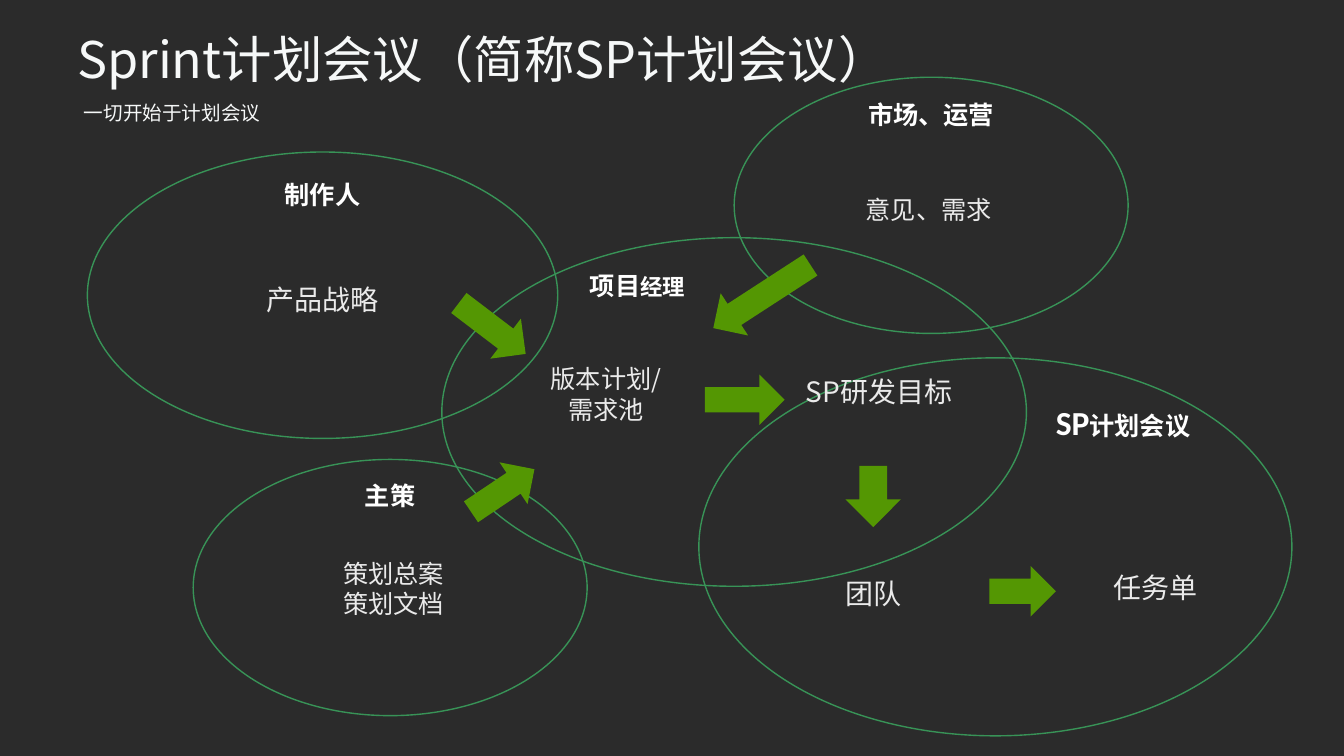
import dataclasses

import pptx
import pptx.dml.color
import pptx.enum.shapes
import pptx.enum.text
import pptx.oxml.ns
import pptx.util
from lxml import etree

SHAPE = pptx.enum.shapes.MSO_SHAPE
ANCHOR = pptx.enum.text.MSO_ANCHOR
ALIGN = pptx.enum.text.PP_ALIGN
COLUMNS, ROWS = 160, 90
CELL = pptx.util.Inches(7.5) / ROWS


@dataclasses.dataclass
class Theme:
    background: str = "2B2B2B"
    outline: str = "389357"
    arrow: str = "549703"
    title: str = "F6F8F8"
    heading: str = "FFFFFF"
    note: str = "EAEAEA"
    face: str = "Noto Sans CJK SC"
    heading_face: str = "Calibri"
    title_size: int = 36
    subtitle_size: int = 14
    heading_size: int = 18
    note_size: int = 20
    small_note_size: int = 18


@dataclasses.dataclass
class Box:
    left: float
    top: float
    width: float
    height: float

    def inner(self, left, top, width, height):
        return Box(self.left + left, self.top + top, width, height)

    def emu(self):
        return [round(value * CELL) for value in dataclasses.astuple(self)]


@dataclasses.dataclass
class Note:
    left: float
    top: float
    height: float
    lines: list
    size: int


@dataclasses.dataclass
class Role:
    box: Box
    heading: list
    notes: list
    heading_at: tuple


THEME = Theme()
HEADING_WIDTH, HEADING_HEIGHT = 32.2, 7.6
NOTE_WIDTH = 25.7
LARGE, SMALL = THEME.note_size, THEME.small_note_size


def centred(width, top):
    return (width - HEADING_WIDTH) / 2, top


ROLES = [
    Role(Box(52.6, 28.3, 69.6, 41.5), [("项目", 18), ("经理", 16)],
         [Note(6.7, 14.4, 16.4, ["版本计划/", "需求池"], SMALL)], (7.2, 1.9)),
    Role(Box(83.2, 42.6, 70.6, 45), [("SP", 24), ("计划会议", 18)],
         [Note(8.6, 1.4, 13.6, ["SP研发目标"], LARGE),
          Note(41.5, 24.7, 11.3, ["任务单"], LARGE),
          Note(7.9, 25.4, 11.3, ["团队"], LARGE)], (34.4, 3.8)),
    Role(Box(23, 54.7, 46.9, 30.5), [("主策", 18)],
         [Note(11, 11.2, 13.6, ["策划总案", "策划文档"], SMALL)], centred(46.9, 0.5)),
    Role(Box(87.4, 9.2, 46.9, 30.5), [("市场、运营", 18)],
         [Note(10.3, 13.3, 13.6, ["意见、需求"], SMALL)], centred(46.9, 0.6)),
    Role(Box(10.4, 18.1, 56, 34.1), [("制作人", 18)],
         [Note(15.1, 14.9, 11.3, ["产品战略"], LARGE)], centred(56, 1.2)),
]

ARROWS = [
    (Box(83.9, 44.6, 9.5, 6), 0),
    (Box(117.8, 67.4, 7.9, 6), 0),
    (Box(100.3, 55.8, 7.3, 6.6), 90),
    (Box(55.3, 55.4, 9.1, 6), 326.1),
    (Box(83.8, 32.3, 13.8, 6), 147),
    (Box(53.6, 36.1, 10, 6), 37.3),
]


def colour(code):
    return pptx.dml.color.RGBColor.from_string(code)


def apply(target, values):
    for name, value in values.items():
        setattr(target, name, value)


def write(frame, paragraphs, face, code, bold=False, align=ALIGN.CENTER,
          anchor=ANCHOR.TOP, spacing=1.0):
    apply(frame, {"word_wrap": True, "vertical_anchor": anchor,
                  "auto_size": pptx.enum.text.MSO_AUTO_SIZE.NONE})
    for index, spans in enumerate(paragraphs):
        para = frame.add_paragraph() if index else frame.paragraphs[0]
        apply(para, {"alignment": align, "line_spacing": spacing})
        for text, size in spans:
            span = para.add_run()
            span.text = text
            apply(span.font, {"name": face, "bold": bold, "size": pptx.util.Pt(size)})
            span.font.color.rgb = colour(code)
            asian = etree.SubElement(span.font._element, pptx.oxml.ns.qn("a:ea"))
            asian.set("typeface", THEME.face)


def add_text(page, box, paragraphs, face, code, **options):
    write(page.shapes.add_textbox(*box.emu()).text_frame, paragraphs, face, code, **options)


def add_header(page, box):
    title = page.shapes.title
    apply(title, dict(zip(("left", "top", "width", "height"), box.emu())))
    write(title.text_frame, [[("Sprint计划会议（简称SP计划会议）", THEME.title_size)]],
          THEME.face, THEME.title, align=ALIGN.LEFT, spacing=0.9)
    add_text(page, box.inner(0.8, 7.8, 90.2, 4.1),
             [[("一切开始于计划会议", THEME.subtitle_size)]],
             THEME.heading_face, THEME.title, align=ALIGN.LEFT)


def add_role(page, role):
    ellipse = page.shapes.add_shape(SHAPE.OVAL, *role.box.emu())
    ellipse.shadow.inherit = False
    ellipse.fill.background()
    ellipse.line.color.rgb = colour(THEME.outline)
    ellipse.line.width = pptx.util.Pt(1)
    add_text(page, role.box.inner(*role.heading_at, HEADING_WIDTH, HEADING_HEIGHT),
             [role.heading], THEME.heading_face, THEME.heading,
             bold=True, anchor=ANCHOR.MIDDLE)
    for note in role.notes:
        add_text(page, role.box.inner(note.left, note.top, NOTE_WIDTH, note.height),
                 [[(line, note.size)] for line in note.lines], THEME.face, THEME.note)


def add_arrow(page, box, rotation):
    arrow = page.shapes.add_shape(SHAPE.RIGHT_ARROW, *box.emu())
    arrow.shadow.inherit = False
    arrow.rotation = rotation
    arrow.fill.solid()
    arrow.fill.fore_color.rgb = colour(THEME.arrow)
    arrow.line.fill.background()


def main():
    deck = pptx.Presentation()
    apply(deck, {"slide_width": round(COLUMNS * CELL), "slide_height": round(ROWS * CELL)})
    page = deck.slides.add_slide(deck.slide_layouts[5])
    page.background.fill.solid()
    page.background.fill.fore_color.rgb = colour(THEME.background)
    add_header(page, Box(8, 3.6, 144, 15))
    for role in ROLES:
        add_role(page, role)
    for box, rotation in ARROWS:
        add_arrow(page, box, rotation)
    deck.save("out.pptx")


if __name__ == "__main__":
    main()
